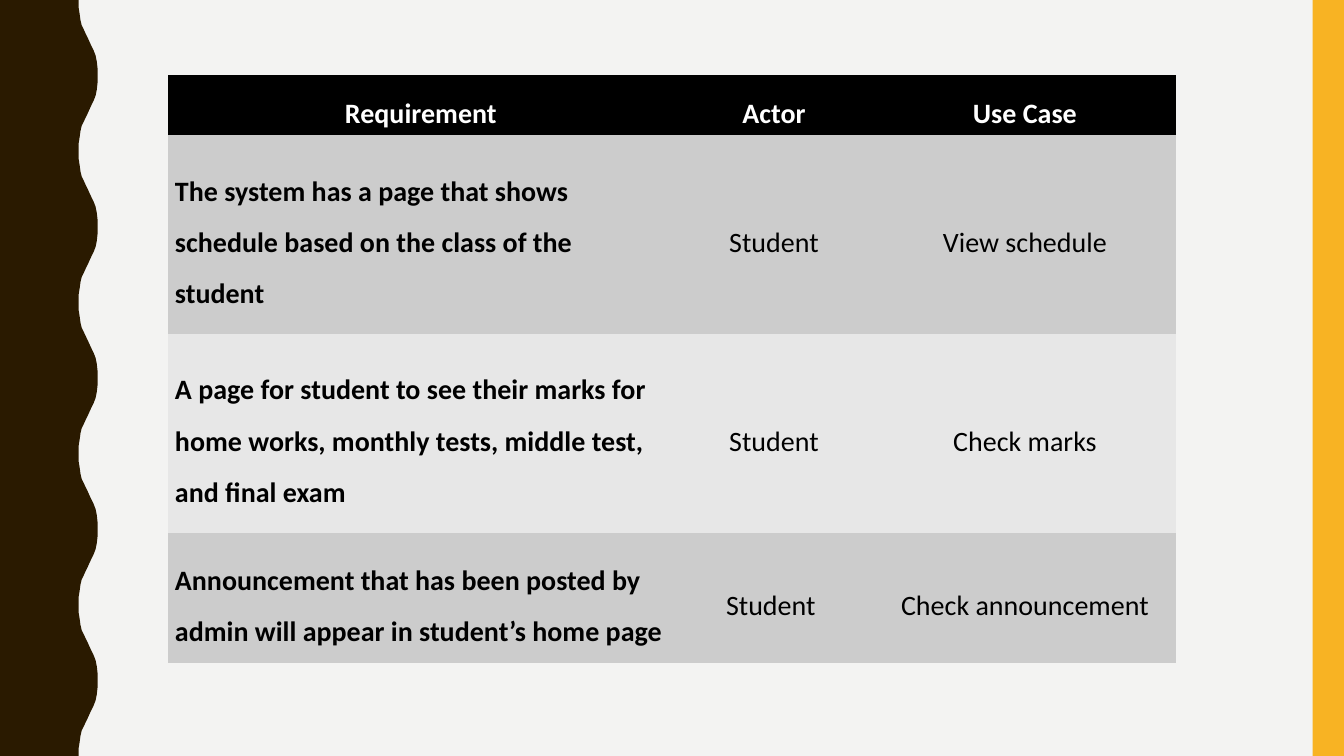
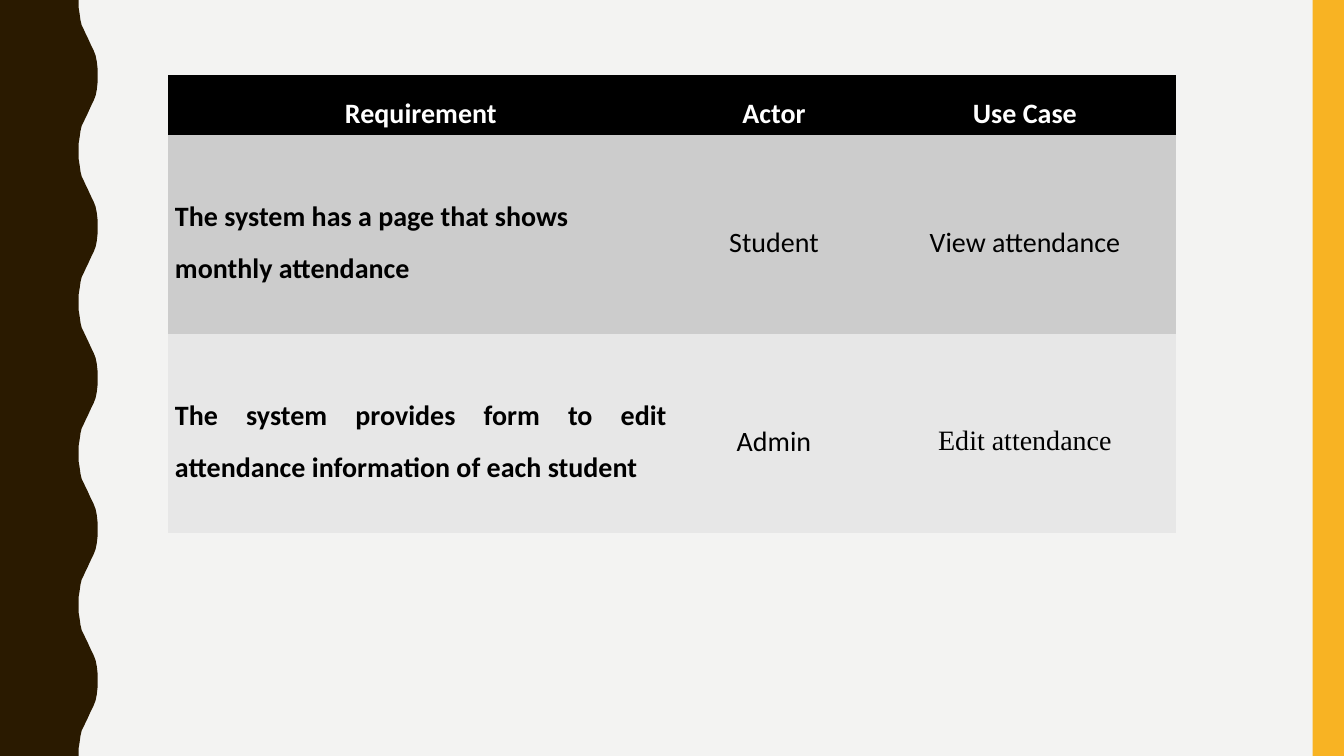
"""Build two slides of requirement tables in a waved frame."""
from pptx import Presentation
from pptx.dml.color import RGBColor
from pptx.enum.shapes import MSO_SHAPE
from pptx.enum.text import MSO_ANCHOR, PP_ALIGN
from pptx.oxml.ns import qn
from pptx.util import Cm, Pt

RECT = MSO_SHAPE.RECTANGLE
MIDDLE = MSO_ANCHOR.MIDDLE
LEFT, CENTER, JUST = PP_ALIGN.LEFT, PP_ALIGN.CENTER, PP_ALIGN.JUSTIFY

PAPER = RGBColor(0xF3, 0xF3, 0xF2)
BROWN = RGBColor(0x2A, 0x1A, 0x00)
GOLD = RGBColor(0xF8, 0xB3, 0x23)
BLACK = RGBColor(0x00, 0x00, 0x00)
WHITE = RGBColor(0xFF, 0xFF, 0xFF)
BANDS = (RGBColor(0xCC, 0xCC, 0xCC), RGBColor(0xE7, 0xE7, 0xE7))

SANS, SERIF = "Calibri", "Times New Roman"
PLAIN = "{2D5ABB26-0587-4C30-8999-92F81FD0307C}"

WIDE, HIGH = Cm(33.87), Cm(19.05)
EDGE = Cm(0.79)
WAVES, PITCH = 5, 3.81
CURVE = (
    (1.98, 0), (1.98, 0.18), (2.01, 0.36), (2.03, 0.51), (2.06, 0.64),
    (2.11, 0.74), (2.16, 0.85), (2.21, 0.95), (2.26, 1.06), (2.31, 1.17),
    (2.36, 1.27), (2.41, 1.4), (2.44, 1.55), (2.46, 1.73), (2.46, 1.9),
)

COLS = (12.75, 5.05, 7.6)
HEAD, TALL, SHORT = 1.51, 5.01, 3.28
TITLES = ("Requirement", "Actor", "Use Case")

VIEWS = (
    (TALL, "The system has a page that shows schedule based on the class "
     "of the student", "Student", "View schedule"),
    (TALL, "A page for student to see their marks for home works, monthly "
     "tests, middle test, and final exam", "Student", "Check marks"),
    (SHORT, "Announcement that has been posted by admin will appear in "
     "student’s home page", "Student ", "Check announcement"),
)
ROLLS = (
    (TALL, "The system has a page that shows monthly attendance",
     "Student", "View attendance"),
    (TALL, "The system provides form to edit attendance information of "
     "each student", "Admin", "Edit attendance"),
)


def paint(shape, color):
    """Give a shape a flat fill with no line or shadow."""
    shape.shadow.inherit = False
    shape.fill.solid()
    shape.fill.fore_color.rgb = color
    shape.line.fill.background()


def add_wave(slide):
    """Draw the left band with its wavy edge."""
    back = [(x, PITCH - y) for x, y in reversed(CURVE)]
    points = [(Cm(x), Cm(y + PITCH * turn))
              for turn in range(WAVES) for x, y in (*CURVE, *back)]
    pen = slide.shapes.build_freeform(0, 0)
    pen.add_line_segments([*points, (0, HIGH)], close=True)
    paint(pen.convert_to_shape(), BROWN)


def add_edge(slide):
    """Draw the gold strip at the right."""
    strip = slide.shapes.add_shape(RECT, WIDE - EDGE, 0, EDGE, HIGH)
    paint(strip, GOLD)


def fill_cell(cell, text, fill, color=BLACK, bold=False, align=CENTER,
              font=SANS):
    """Write and format one table cell."""
    cell.fill.solid()
    cell.fill.fore_color.rgb = fill
    cell.vertical_anchor = MIDDLE
    cell.margin_left = cell.margin_right = Cm(0.18)
    cell.margin_top = cell.margin_bottom = 0
    para = cell.text_frame.paragraphs[0]
    para.alignment = align
    para.line_spacing = 1.5
    para.space_after = Pt(6)
    run = para.add_run()
    run.text = text
    run.font.name = font
    run.font.size = Pt(20)
    run.font.bold = bold
    run.font.color.rgb = color


def add_grid(slide, rows):
    """Add a requirement table and return it."""
    highs = [HEAD] + [row[0] for row in rows]
    frame = slide.shapes.add_table(len(highs), len(COLS), Cm(4.23), Cm(1.89),
                                   Cm(sum(COLS)), Cm(sum(highs)))
    for style in frame.element.iter(qn("a:tableStyleId")):
        style.text = PLAIN
    grid = frame.table
    for col, size in zip(grid.columns, COLS):
        col.width = Cm(size)
    for row, size in zip(grid.rows, highs):
        row.height = Cm(size)
    for col, title in enumerate(TITLES):
        fill_cell(grid.cell(0, col), title, BLACK, WHITE, bold=True)
    for num, (_, need, actor, case) in enumerate(rows, 1):
        band = BANDS[(num - 1) % 2]
        last = rows is ROLLS and num == len(rows)
        fill_cell(grid.cell(num, 0), need, band, bold=True,
                  align=JUST if last else LEFT)
        fill_cell(grid.cell(num, 1), actor, band)
        fill_cell(grid.cell(num, 2), case, band, font=SERIF if last else SANS)


def main():
    """Build and save the deck."""
    deck = Presentation()
    deck.slide_width, deck.slide_height = WIDE, HIGH
    back = deck.slide_master.background.fill
    back.solid()
    back.fore_color.rgb = PAPER
    for rows in (VIEWS, ROLLS):
        slide = deck.slides.add_slide(deck.slide_layouts[6])
        add_wave(slide)
        add_edge(slide)
        add_grid(slide, rows)
    deck.save("out.pptx")


if __name__ == "__main__":
    main()
